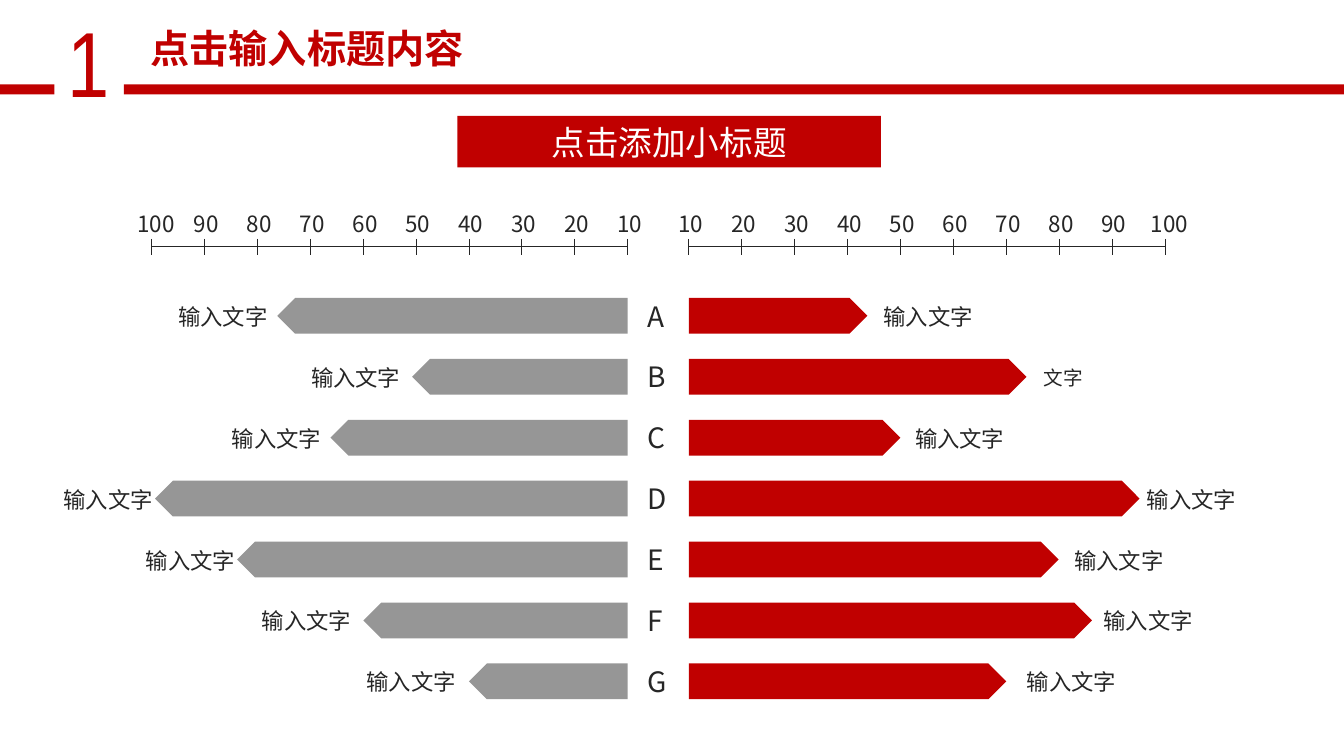
from lxml.etree import SubElement
from pptx import Presentation
from pptx.dml.color import RGBColor
from pptx.enum.shapes import MSO_CONNECTOR, MSO_SHAPE
from pptx.enum.text import MSO_ANCHOR, MSO_AUTO_SIZE, PP_ALIGN
from pptx.oxml.ns import qn
from pptx.util import Cm, Pt

COLORS = {"red": "C00000", "gray": "969696", "ink": "262626", "white": "FFFFFF"}

# Axes and rows, in centimetres
LEFT_ZERO, RIGHT_ZERO = 15.82, 17.36
TICK_STEP = 12 / 9
AXIS_Y, TICK_HALF = 6.22, 0.2
ROW_TOP, ROW_STEP, BAR_HEIGHT = 7.51, 1.535, 0.9
LABEL = "输入文字"

# letter, letter width, left bar length, left label x,
# right bar length, right label x, right label, its width, its size
ROWS = [
    ("A", 1.02, 8.83, 4.24, 4.5, 22.02, LABEL, 2.79, 16),
    ("B", 0.97, 5.43, 7.59, 8.51, 26.06, "文字", 1.5, 14),
    ("C", 0.99, 7.49, 5.59, 5.33, 22.81, LABEL, 2.79, 16),
    ("D", 1.07, 11.91, 1.35, 11.36, 28.65, LABEL, 2.79, 16),
    ("E", 0.91, 9.84, 3.43, 9.32, 26.82, LABEL, 2.79, 16),
    ("F", 0.89, 6.66, 6.35, 10.16, 27.56, LABEL, 2.79, 16),
    ("G", 1.04, 4.0, 8.99, 8.0, 25.63, LABEL, 2.79, 16),
]


class SlideBuilder:
    font = "Noto Sans CJK SC"

    def __init__(self, slide):
        self.shapes = slide.shapes

    def add_words(self, frame, text, size, color, bold=None, font=None, align=None):
        paragraph = frame.paragraphs[0]
        if align is not None:
            paragraph.alignment = align
        run = paragraph.add_run()
        run.text = text
        run.font.size = Pt(size)
        run.font.bold = bold
        run.font.color.rgb = RGBColor.from_string(COLORS[color])
        run.font.name = font or self.font
        east_asian = SubElement(run.font._element, qn("a:ea"))
        east_asian.set("typeface", font or self.font)

    def text(self, x, y, width, height, text, size=16, color="ink", wrap=False, **style):
        frame = self.shapes.add_textbox(Cm(x), Cm(y), Cm(width), Cm(height)).text_frame
        frame.word_wrap = wrap
        frame.auto_size = MSO_AUTO_SIZE.SHAPE_TO_FIT_TEXT
        self.add_words(frame, text, size, color, **style)

    def block(self, x, y, width, height, color, kind=MSO_SHAPE.RECTANGLE, flip=False):
        block = self.shapes.add_shape(kind, Cm(x), Cm(y), Cm(width), Cm(height))
        block.shadow.inherit = False
        block.fill.solid()
        block.fill.fore_color.rgb = RGBColor.from_string(COLORS[color])
        block.line.fill.background()
        if flip:
            block._element.spPr.find(qn("a:xfrm")).set("flipH", "1")
        return block

    def line(self, parent, x1, y1, x2, y2):
        line = parent.shapes.add_connector(
            MSO_CONNECTOR.STRAIGHT, Cm(x1), Cm(y1), Cm(x2), Cm(y2))
        line.line.color.rgb = RGBColor.from_string(COLORS["ink"])
        line.line.width = Pt(0.75)
        SubElement(line._element.spPr, qn("a:effectLst"))

    def axis(self, zero, direction):
        ticks = [zero + direction * TICK_STEP * i for i in range(10)]
        group = self.shapes.add_group_shape()
        self.line(group, min(ticks), AXIS_Y, max(ticks), AXIS_Y)
        for x in ticks:
            self.line(group, x, AXIS_Y - TICK_HALF, x, AXIS_Y + TICK_HALF)
        for i, x in enumerate(ticks, 1):
            width, shift = (1.52, 0.15) if i == 10 else (1.17, 0.07)
            self.text(x + shift - width / 2, 5.18, width, 0.94, str(i * 10))


def main():
    prs = Presentation()
    prs.slide_width, prs.slide_height = Cm(33.87), Cm(19.05)
    page = SlideBuilder(prs.slides.add_slide(prs.slide_layouts[6]))

    # Header: number, rule and title
    page.text(1.45, 0, 0.86, 3.07, "1", 66, "red", wrap=True, font="Arial Narrow")
    page.block(3.12, 2.13, 30.75, 0.25, "red")
    page.block(-0.08, 2.13, 1.45, 0.25, "red")
    page.text(3.18, 0.48, 9.12, 1.45, "点击输入标题内容", 28, "red", wrap=True,
              bold=True, align=PP_ALIGN.CENTER)

    # Subtitle banner
    banner = page.block(11.53, 2.92, 10.67, 1.3, "red").text_frame
    banner.vertical_anchor = MSO_ANCHOR.MIDDLE
    page.add_words(banner, "点击添加小标题", 24, "white", align=PP_ALIGN.CENTER)

    # Mirrored scales
    page.axis(LEFT_ZERO, -1)
    page.axis(RIGHT_ZERO, 1)

    # Opposed bars with labels
    for i, (letter, letter_width, left_bar, left_x, right_bar, right_x,
            right_label, right_width, right_size) in enumerate(ROWS):
        top = ROW_TOP + i * ROW_STEP
        page.block(LEFT_ZERO - left_bar, top, left_bar, BAR_HEIGHT, "gray",
                   MSO_SHAPE.PENTAGON, flip=True)
        page.text(left_x, top, 2.79, 0.94, LABEL)
        page.block(RIGHT_ZERO, top, right_bar, BAR_HEIGHT, "red", MSO_SHAPE.PENTAGON)
        label_height = 0.94 if right_size == 16 else 0.86
        page.text(right_x, top + (0.94 - label_height) / 2, right_width, label_height,
                  right_label, right_size)
        page.text(16.08, top - 0.1, letter_width, 1.12, letter, 20)

    prs.save("out.pptx")


if __name__ == "__main__":
    main()
